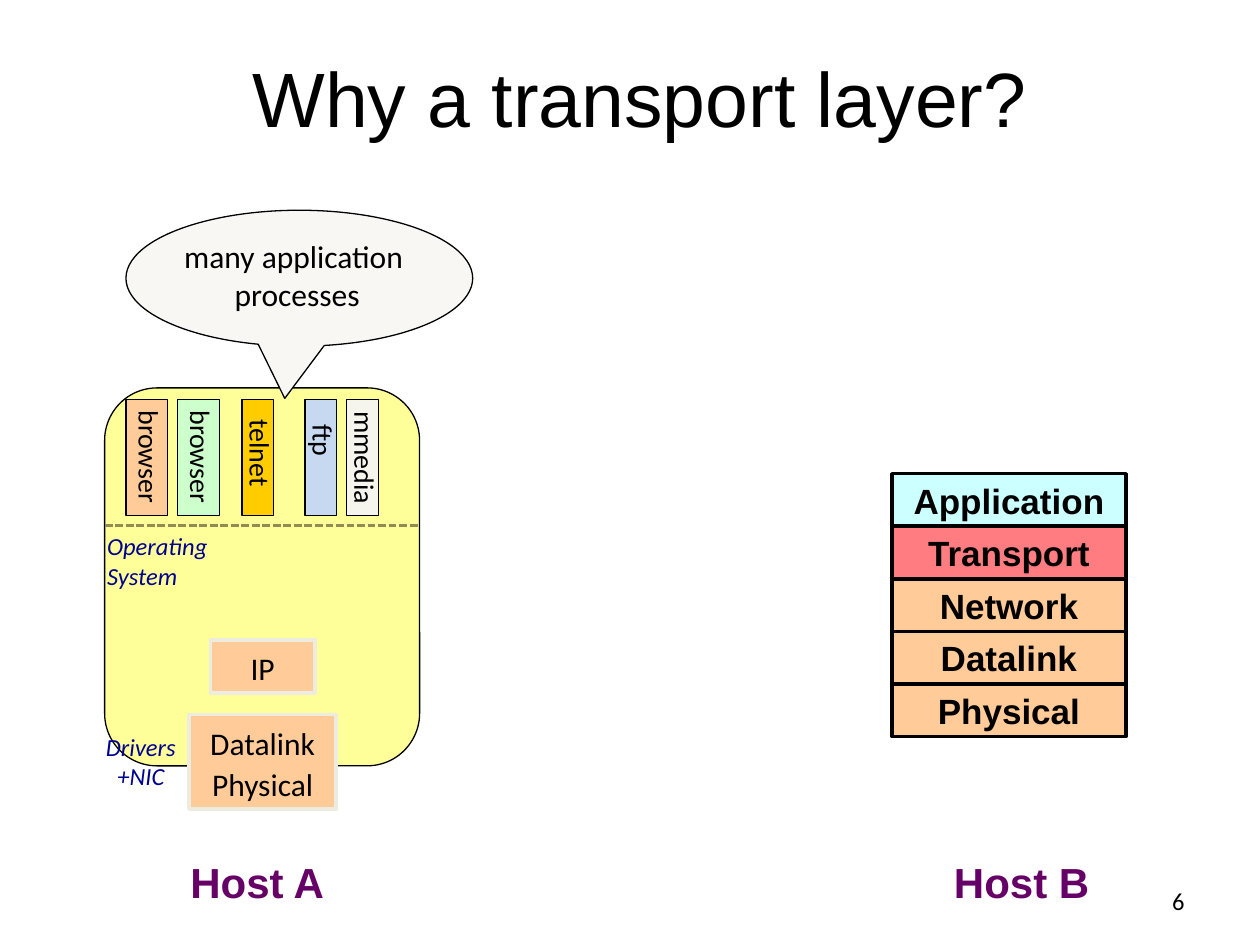
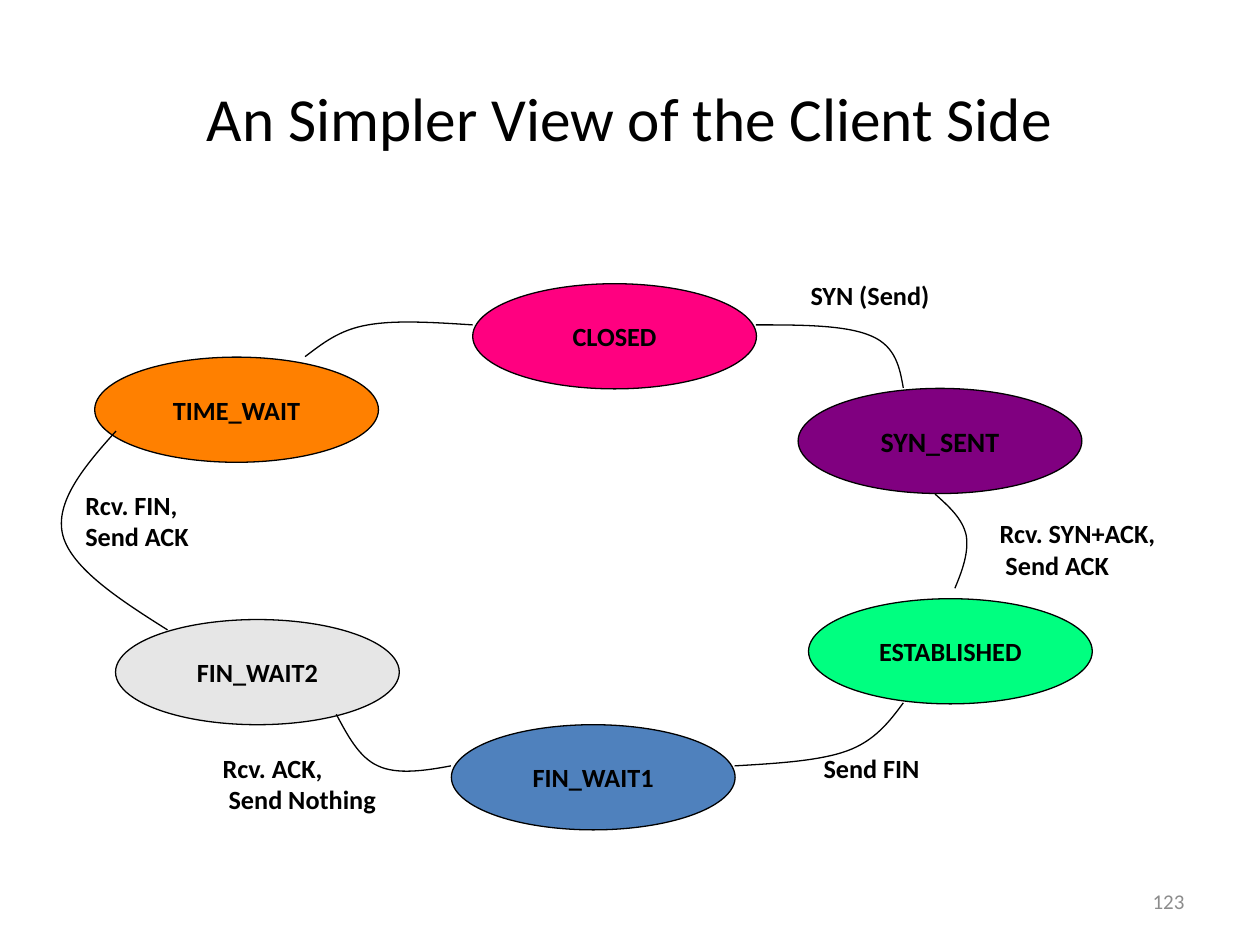
from lxml import etree
from pptx import Presentation
from pptx import util as u
from pptx.dml import color
from pptx.enum import dml, shapes, text
from pptx.oxml import ns

COLOURS = {
    "black": "000000", "peach": "FFCC99", "coral": "FF7C80", "cyan": "CCFFFF",
    "mint": "CCFFCC", "amber": "FFCC00", "sky": "C6D9F1", "ivory": "F5F4ED",
    "cream": "EEECE1", "pearl": "F8F7F3", "yellow": "FFFF99", "olive": "948A54",
    "plum": "660066", "navy": "000090", "grey": "8C8C8C", "pink": "FF0080",
    "orange": "FF8000", "silver": "E6E6E6", "blue": "4F81BD",
    "green": "00FF80", "purple": "800080",
}
KIND = shapes.MSO_SHAPE
LEFT, CENTER, RIGHT = text.PP_ALIGN.LEFT, text.PP_ALIGN.CENTER, text.PP_ALIGN.RIGHT
MIDDLE, TOP = text.MSO_ANCHOR.MIDDLE, text.MSO_ANCHOR.TOP


def rgb(name):
    return color.RGBColor.from_string(COLOURS[name])


def lengths(*values):
    return [u.Cm(value) for value in values]


class SlideBuilder:
    def __init__(self, presentation):
        self.presentation = presentation
        self.slide = None

    def start(self, title, box, size, font, number, number_size, number_colour):
        layout = self.presentation.slide_layouts.get_by_name("Title Only")
        self.slide = self.presentation.slides.add_slide(layout)
        shape = self.slide.shapes.title
        shape.left, shape.top, shape.width, shape.height = lengths(*box)
        self.set_text(shape, title, size, font=font, anchor=MIDDLE)
        self.label(number, (18.21, 17.65, 5.92, 1.02), number_size,
                   colour=number_colour, align=RIGHT, anchor=MIDDLE)

    def set_text(self, shape, content, size, font="Calibri", colour="black", bold=False,
                 italic=False, align=CENTER, anchor=TOP, spacing=None):
        frame = shape.text_frame
        frame.auto_size = text.MSO_AUTO_SIZE.NONE
        frame.word_wrap = align != CENTER
        frame.vertical_anchor = anchor
        for index, part in enumerate(content.split("\n")):
            paragraph = frame.add_paragraph() if index else frame.paragraphs[0]
            paragraph.alignment = align
            paragraph.line_spacing = spacing
            for row, words in enumerate(part.split("\v")):
                if row:
                    paragraph.add_line_break()
                run = paragraph.add_run()
                run.text = words
                run.font.size = u.Pt(size)
                run.font.name = font
                run.font.bold = bold
                run.font.italic = italic
                run.font.color.rgb = rgb(colour)

    def label(self, content, box, size, rotation=0, **style):
        shape = self.slide.shapes.add_textbox(*lengths(*box))
        shape.rotation = rotation
        self.set_text(shape, content, size, **style)

    def block(self, kind, box, fill, line="black", weight=0.75, content=None, **style):
        shape = self.slide.shapes.add_shape(kind, *lengths(*box))
        shape.shadow.inherit = False
        shape.fill.solid()
        shape.fill.fore_color.rgb = rgb(fill)
        self.outline(shape, line, weight)
        if content:
            self.set_text(shape, content, anchor=MIDDLE, **style)
        return shape

    def outline(self, shape, line, weight):
        shape.line.color.rgb = rgb(line)
        shape.line.width = u.Pt(weight)

    def dashed_line(self, start, end, line, weight):
        connector = self.slide.shapes.add_connector(
            shapes.MSO_CONNECTOR.STRAIGHT, *lengths(*start, *end))
        self.outline(connector, line, weight)
        connector.line.dash_style = dml.MSO_LINE.SQUARE_DOT
        etree.SubElement(connector._element.spPr, ns.qn("a:effectLst"))

    def curve(self, start, *points):
        builder = self.slide.shapes.build_freeform(*lengths(*start))
        builder.add_line_segments([lengths(*point) for point in points], close=False)
        shape = builder.convert_to_shape()
        shape.shadow.inherit = False
        shape.fill.background()
        self.outline(shape, "black", 0.75)
        outline = shape._element.find(".//" + ns.qn("a:path"))
        segments = outline.findall(ns.qn("a:lnTo"))
        for first in range(0, len(segments), 3):
            bezier = etree.SubElement(outline, ns.qn("a:cubicBezTo"))
            for segment in segments[first:first + 3]:
                bezier.append(segment[0])
                outline.remove(segment)


def transport_slide(builder):
    builder.start("Why a transport layer? ", (1.27, 0.33, 23.7, 3.25), 44, "Arial",
                  "6", 14, "black")

    layers = [("Application", "cyan"), ("Transport", "coral"), ("Network", "peach"),
              ("Datalink", "peach"), ("Physical", "peach")]
    for index, (name, fill) in enumerate(layers):
        builder.block(KIND.RECTANGLE, (17.98, 9.55 + 1.06 * index, 4.72, 1.06), fill,
                      weight=2, content=name, size=20, font="Arial", bold=True)
    for host, left in [("Host A", 3.56), ("Host B", 18.97)]:
        builder.label(host, (left, 17.15, 3.25, 1.27), 24, font="Arial",
                      colour="plum", bold=True)

    builder.block(KIND.ROUNDED_RECTANGLE, (2.11, 7.82, 6.35, 7.62), "yellow")
    for content, box in [("Datalink\nPhysical", (3.81, 14.4, 2.97, 1.91)),
                         ("IP", (4.24, 12.9, 2.11, 1.07))]:
        builder.block(KIND.RECTANGLE, box, "peach", line="cream", weight=2,
                      content=content, size=18, spacing=1.1)
    builder.dashed_line((2.11, 10.59), (8.46, 10.59), "olive", 1.5)

    processes = [("browser", 2.54, 0.84, "peach", 9.21),
                 ("browser", 3.58, 0.84, "mint", 9.21),
                 ("telnet", 4.88, 0.64, "amber", 9.13),
                 ("ftp", 6.15, 0.64, "sky", 8.88),
                 ("mmedia", 6.99, 0.64, "ivory", 9.23)]
    label_width, label_height = 2.4, 0.94
    for name, left, width, fill, middle in processes:
        builder.block(KIND.RECTANGLE, (left, 8.05, width, 2.34), fill)
        centre = left + width / 2 + 0.05
        builder.label(name, (centre - label_width / 2, middle - label_height / 2,
                             label_width, label_height), 16, rotation=90)

    callout = builder.block(KIND.OVAL_CALLOUT, (2.54, 4.24, 6.99, 2.74), "pearl")
    callout.adjustments[0], callout.adjustments[1] = -0.042, 0.884
    builder.label("many application\v processes", (3.43, 4.65, 4.98, 1.8), 18)
    builder.label("Drivers\v+NIC", (1.47, 14.63, 2.74, 1.45), 14,
                  colour="navy", italic=True)
    builder.label("Operating\vSystem", (1.91, 10.59, 3.61, 1.45), 14,
                  colour="navy", italic=True, align=LEFT)


def client_slide(builder):
    builder.start("An Simpler View of the Client Side", (1.27, 0.76, 22.86, 3.18), 35,
                  "Calibri", "123", 12, "grey")

    states = [("CLOSED", 9.53, 5.72, "pink", 15), ("TIME_WAIT", 1.91, 7.2, "orange", 15),
              ("FIN_WAIT2", 2.33, 12.49, "silver", 15),
              ("FIN_WAIT1", 9.1, 14.61, "blue", 15),
              ("ESTABLISHED", 16.3, 12.07, "green", 15),
              ("SYN_SENT", 16.09, 7.83, "purple", 16)]
    for name, left, top, fill, size in states:
        builder.block(KIND.OVAL, (left, top, 5.72, 2.12), fill, content=name,
                      size=size, bold=True)

    transitions = [
        [(15.24, 6.55), (16.15, 6.55), (17.07, 6.55), (17.58, 6.78),
         (18.06, 6.99), (18.14, 7.42), (18.21, 7.82)],
        [(18.85, 9.96), (19.13, 10.21), (19.41, 10.46), (19.48, 10.8),
         (19.53, 11.13), (19.41, 11.48), (19.25, 11.86)],
        [(18.21, 14.17), (17.93, 14.55), (17.63, 14.94), (17.07, 15.14),
         (16.51, 15.34), (15.67, 15.39), (14.81, 15.44)],
        [(9.09, 15.44), (8.56, 15.54), (8, 15.62), (7.62, 15.44),
         (7.24, 15.27), (7.01, 14.83), (6.78, 14.4)],
        [(3.38, 12.7), (2.41, 12.09), (1.45, 11.46), (1.27, 10.8),
         (1.09, 10.13), (1.7, 9.4), (2.34, 8.69)],
        [(6.15, 7.19), (6.5, 6.93), (6.83, 6.65), (7.42, 6.55),
         (7.98, 6.45), (8.74, 6.5), (9.53, 6.55)],
    ]
    for points in transitions:
        builder.curve(*points)

    events = [("SYN (Send)", (16.09, 5.51, 4.01, 0.89), LEFT),
              ("Rcv. SYN+ACK,\v Send ACK", (19.9, 10.31, 4.65, 1.55), LEFT),
              ("Send FIN", (14.61, 15.04, 5.92, 0.89), CENTER),
              ("Rcv. ACK,\v Send Nothing", (4.24, 15.04, 6.35, 1.55), LEFT),
              ("Rcv. FIN,\vSend ACK", (1.47, 9.73, 5.28, 1.55), LEFT)]
    for content, box, align in events:
        builder.label(content, box, 15, bold=True, align=align)


def main():
    presentation = Presentation()
    presentation.slide_width, presentation.slide_height = lengths(25.4, 19.05)
    builder = SlideBuilder(presentation)
    transport_slide(builder)
    client_slide(builder)
    presentation.save("out.pptx")


if __name__ == "__main__":
    main()
